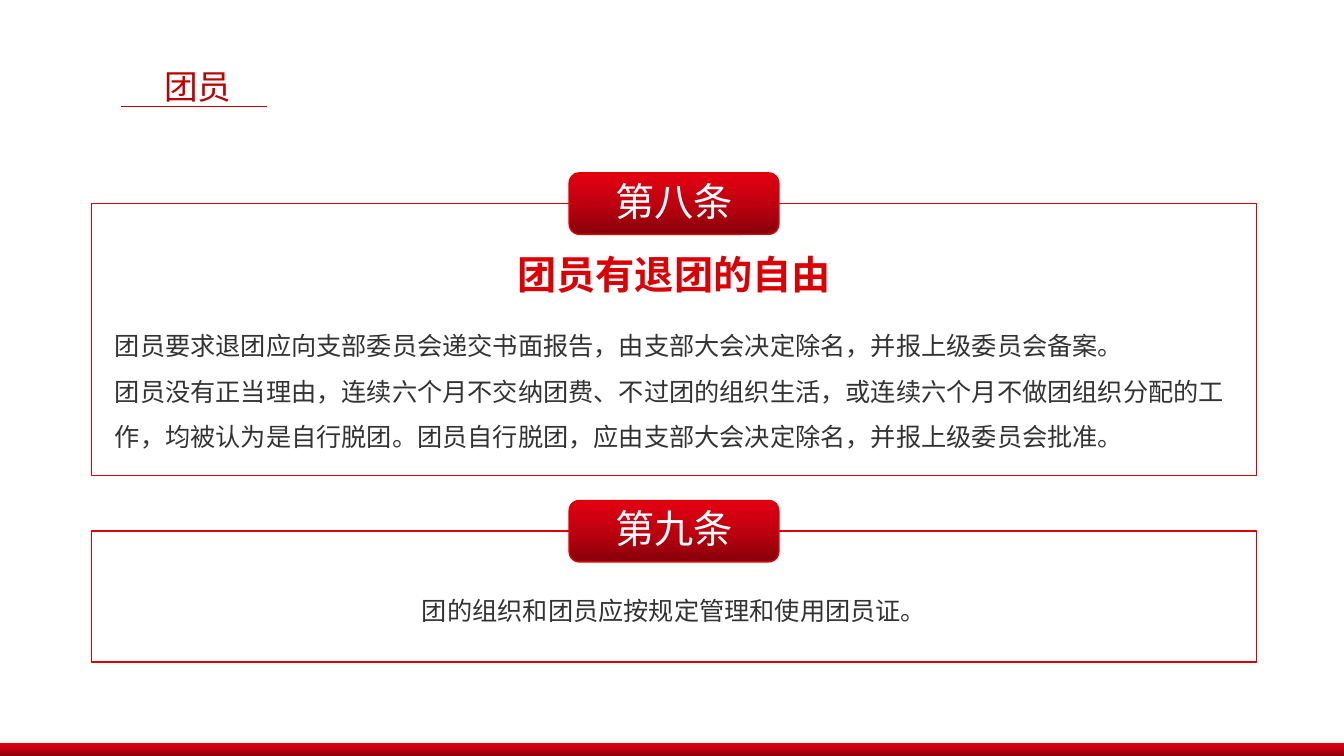
from copy import deepcopy

from lxml import etree
from pptx import Presentation
from pptx.dml.color import RGBColor
from pptx.enum.shapes import MSO_CONNECTOR, MSO_SHAPE
from pptx.enum.text import MSO_ANCHOR, PP_ALIGN
from pptx.oxml.ns import qn
from pptx.util import Inches, Pt

RECTANGLE, ROUNDED = MSO_SHAPE.RECTANGLE, MSO_SHAPE.ROUNDED_RECTANGLE
LEFT, CENTER = PP_ALIGN.LEFT, PP_ALIGN.CENTER
TOP, MIDDLE = MSO_ANCHOR.TOP, MSO_ANCHOR.MIDDLE

WIDTH, HEIGHT = 13.33, 7.5
FONT = "Noto Sans CJK SC"
WHITE = RGBColor(0xFF, 0xFF, 0xFF)
RED = RGBColor(0xDC, 0x00, 0x05)
TITLE_RED = RGBColor(0xC0, 0x00, 0x00)
INK = RGBColor(0x33, 0x33, 0x33)
GRADIENT = [
    (0, RGBColor(0x86, 0x00, 0x0A)),
    (0.5, RGBColor(0xBF, 0x00, 0x0F)),
    (1, RGBColor(0xE3, 0x00, 0x11)),
]

PANEL_LEFT, PANEL_WIDTH = 0.91, 11.55
BADGE_WIDTH, BADGE_HEIGHT = 2.08, 0.61
TEXT_INSET = 0.13

HEADING = {"size": Pt(28), "bold": True}
BODY = {"size": Pt(18)}


def write(shape, lines, color, formats, align=LEFT, spacing=1.0, anchor=TOP, wrap=True):
    frame = shape.text_frame
    frame.word_wrap = wrap
    frame.vertical_anchor = anchor
    for index, line in enumerate(lines):
        para = frame.paragraphs[0] if index == 0 else frame.add_paragraph()
        para.alignment, para.line_spacing = align, spacing
        span = para.add_run()
        span.text = line
        for name, value in {"name": FONT, **formats}.items():
            setattr(span.font, name, value)
        span.font.color.rgb = color
        east_asian = etree.SubElement(span.font._element, qn("a:ea"))
        east_asian.set("typeface", FONT)


def add_text(page, box, *content, **layout):
    write(page.shapes.add_textbox(*map(Inches, box)), *content, **layout)


def add_block(page, kind, box, outlined=True):
    shape = page.shapes.add_shape(kind, *map(Inches, box))
    shape.shadow.inherit = False
    if outlined:
        shape.line.color.rgb = RED
        shape.line.width = Pt(1)
    else:
        shape.line.fill.background()
    return shape


def fill_gradient(shape):
    shape.fill.gradient()
    shape.fill.gradient_angle = 90
    # The default gradient has two stops; a third is needed
    stop_list = shape._element.spPr.find(".//" + qn("a:gsLst"))
    stop_list.append(deepcopy(stop_list[-1]))
    for stop, (position, color) in zip(shape.fill.gradient_stops, GRADIENT):
        stop.position = position
        stop.color.rgb = color


def add_header(page, box, title):
    left, top, width, height = box
    add_text(page, (left + 0.33, top, 0.88, height), [title], TITLE_RED,
             {"size": Pt(24)}, wrap=False)
    line_top = Inches(top + 0.46)
    rule = page.shapes.add_connector(MSO_CONNECTOR.STRAIGHT, Inches(left), line_top,
                                     Inches(left + width), line_top)
    rule.line.color.rgb = TITLE_RED
    rule.line.width = Pt(0.5)
    etree.SubElement(rule._element.spPr, qn("a:effectLst"))


def add_article(page, box, number, lines, body_top, body_height, align, heading=None):
    left, top, width, height = box
    panel = add_block(page, RECTANGLE, box)
    panel.fill.solid()
    panel.fill.fore_color.rgb = WHITE

    # Badge centred on the panel's top edge
    badge = add_block(page, ROUNDED, (left + (width - BADGE_WIDTH) / 2,
                                      top - BADGE_HEIGHT / 2, BADGE_WIDTH, BADGE_HEIGHT))
    fill_gradient(badge)
    write(badge, [number], WHITE, {"size": Pt(28)}, align=CENTER, spacing=0.9, anchor=MIDDLE)

    # Heading and body text
    inner_left, inner_width = left + TEXT_INSET, width - 2 * TEXT_INSET
    if heading:
        add_text(page, (inner_left, top + 0.41, inner_width, 0.57), [heading], RED,
                 HEADING, align=CENTER)
    add_text(page, (inner_left, top + body_top, inner_width, body_height), lines, INK,
             BODY, align=align, spacing=1.5)


def add_footer(page, box):
    fill_gradient(add_block(page, RECTANGLE, box, outlined=False))


def main():
    deck = Presentation()
    deck.slide_width, deck.slide_height = Inches(WIDTH), Inches(HEIGHT)
    page = deck.slides.add_slide(deck.slide_layouts[6])

    add_footer(page, (0, HEIGHT - 0.13, WIDTH, 0.13))
    add_article(
        page, (PANEL_LEFT, 2.02, PANEL_WIDTH, 2.7), "第八条",
        ["团员要求退团应向支部委员会递交书面报告，由支部大会决定除名，并报上级委员会备案。",
         "团员没有正当理由，连续六个月不交纳团费、不过团的组织生活，或连续六个月不做团组织分配的工作，"
         "均被认为是自行脱团。团员自行脱团，应由支部大会决定除名，并报上级委员会批准。"],
        body_top=1.06, body_height=1.46, align=LEFT, heading="团员有退团的自由")
    add_article(
        page, (PANEL_LEFT, 5.27, PANEL_WIDTH, 1.3), "第九条",
        ["团的组织和团员应按规定管理和使用团员证。"],
        body_top=0.44, body_height=0.5, align=CENTER)
    add_header(page, (1.2, 0.6, 1.45, 0.5), "团员")

    deck.save("out.pptx")


if __name__ == "__main__":
    main()
